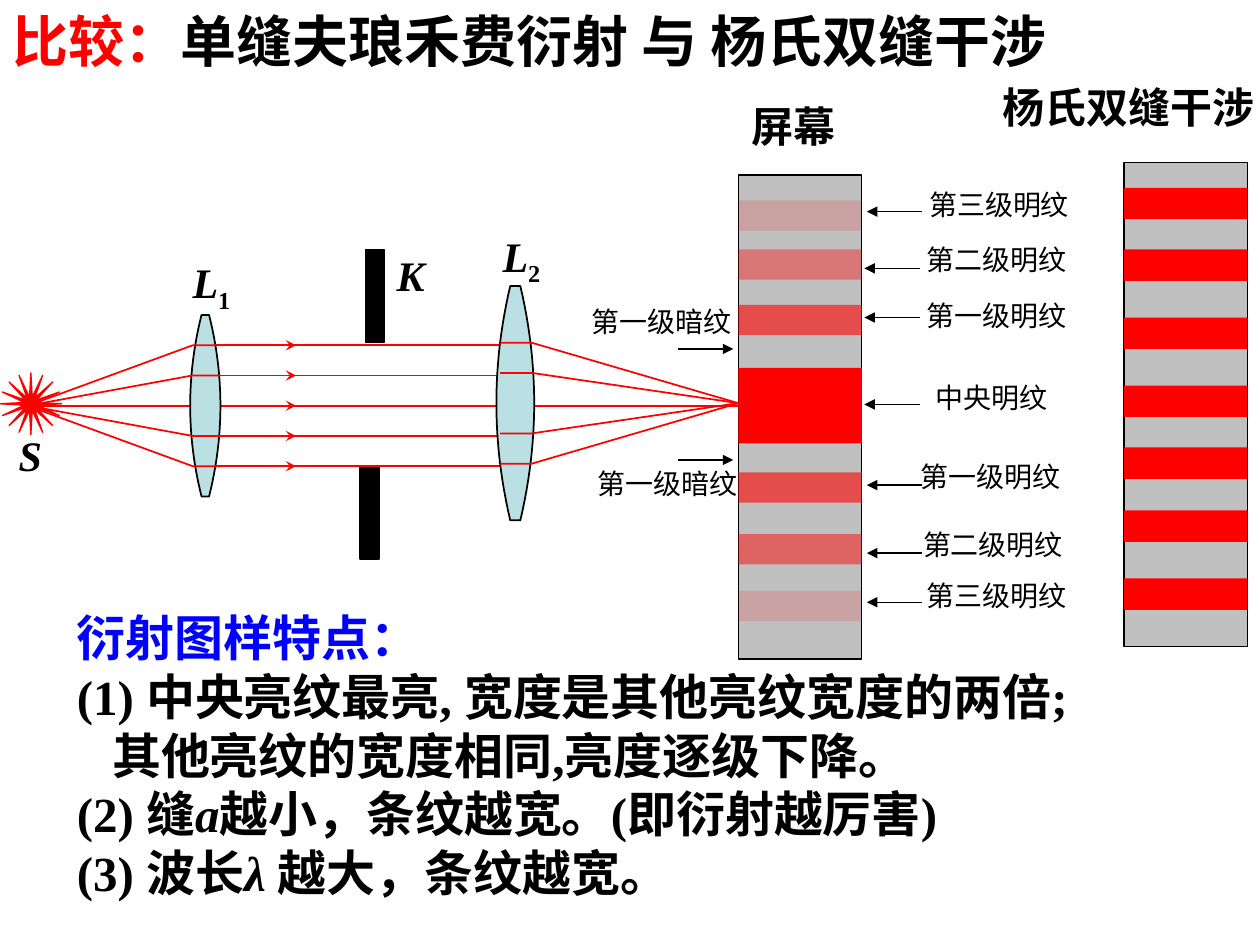
from lxml import etree
from pptx import Presentation
from pptx.dml.color import RGBColor
from pptx.enum.shapes import MSO_CONNECTOR, MSO_SHAPE
from pptx.enum.text import MSO_ANCHOR, MSO_AUTO_SIZE, PP_ALIGN
from pptx.oxml.ns import qn
from pptx.util import Inches, Pt

RECT = MSO_SHAPE.RECTANGLE
STAR = MSO_SHAPE.STAR_16_POINT
STRAIGHT = MSO_CONNECTOR.STRAIGHT
LEFT, CENTER = PP_ALIGN.LEFT, PP_ALIGN.CENTER
TOP = MSO_ANCHOR.TOP
NO_FIT = MSO_AUTO_SIZE.NONE

COLORS = {"black": "000000", "red": "FF0000", "blue": "0000FF",
          "gray": "C0C0C0", "glass": "BBE0E3"}
SERIF, SANS = "Times New Roman", "Noto Sans CJK SC"
AXIS = 3.22
RAY_GAP = 0.24
SCREEN_X, SCREEN_W, SCREEN_H = 5.86, 0.98, 3.84


def rgb(name):
    return RGBColor.from_string(COLORS[name])


def add_runs(p, runs, size, bold=True, font=SERIF):
    for text, color, style in runs:
        r = p.add_run()
        r.text = text
        r.font.size = Pt(size)
        r.font.bold = bold
        r.font.italic = style == "italic"
        r.font.name = font
        r.font.color.rgb = rgb(color)
        rPr = r._r.get_or_add_rPr()
        etree.SubElement(rPr, qn("a:ea")).set("typeface", SANS)
        if style == "sub":
            rPr.set("baseline", "-25000")


def place(sp, x, y, w, h):
    sp.left, sp.top, sp.width, sp.height = map(Inches, (x, y, w, h))


def prepare_frame(sp):
    tf = sp.text_frame
    tf.auto_size = NO_FIT
    tf.word_wrap = True
    tf.vertical_anchor = TOP
    return tf


def add_title(s):
    sp = s.shapes.title
    place(sp, 0, 0, 10, 0.63)
    p = prepare_frame(sp).paragraphs[0]
    p.alignment = LEFT
    add_runs(p, [("比较：", "red", ""),
                 ("单缝夫琅禾费衍射 与 杨氏双缝干涉", "black", "")], 32)


def add_features(s):
    lines = [
        (0, [("衍射图样特点：", "blue", "")]),
        (0, [("(1) 中央亮纹最亮, 宽度是其他亮纹宽度的两倍;", "black", "")]),
        (0.28, [("其他亮纹的宽度相同,亮度逐级下降。", "black", "")]),
        (0, [("(2) 缝", "black", ""), ("a", "black", "italic"),
             ("越小，条纹越宽。(即衍射越厉害)", "black", "")]),
        (0, [("(3) 波长", "black", ""), ("λ ", "black", "italic"),
             ("越大，条纹越宽。", "black", "")]),
    ]
    sp = s.placeholders[1]
    place(sp, 0.51, 4.77, 8.37, 2.44)
    tf = prepare_frame(sp)
    for i, (indent, runs) in enumerate(lines):
        p = tf.add_paragraph() if i else tf.paragraphs[0]
        p.space_before = Pt(0)
        pPr = p._p.get_or_add_pPr()
        pPr.set("marL", str(Inches(indent)))
        pPr.set("indent", "0")
        etree.SubElement(pPr, qn("a:buNone"))
        add_runs(p, runs, 28)


def add_label(s, x, y, w, h, runs, size=24, bold=True, font=SERIF,
              align=LEFT, wrap=False, inset=0.1):
    sp = s.shapes.add_textbox(*map(Inches, (x, y, w, h)))
    tf = sp.text_frame
    tf.word_wrap = wrap
    tf.margin_left = tf.margin_right = Inches(inset)
    p = tf.paragraphs[0]
    p.alignment = align
    add_runs(p, runs, size, bold, font)


def add_block(s, shape, x, y, w, h, fill, line=None, width=0.75, alpha=100):
    sp = s.shapes.add_shape(shape, *map(Inches, (x, y, w, h)))
    sp.shadow.inherit = False
    sp.fill.solid()
    sp.fill.fore_color.rgb = rgb(fill)
    if alpha < 100:
        clr = sp._element.spPr.find(".//" + qn("a:srgbClr"))
        etree.SubElement(clr, qn("a:alpha")).set("val", str(alpha * 1000))
    if line:
        sp.line.color.rgb = rgb(line)
        sp.line.width = Pt(width)
    else:
        sp.line.fill.background()
    return sp


def add_line(s, x1, y1, x2, y2, color, width, head=None):
    c = s.shapes.add_connector(STRAIGHT, *map(Inches, (x1, y1, x2, y2)))
    c.line.color.rgb = rgb(color)
    c.line.width = Pt(width)
    if head:
        ln = c.line._get_or_add_ln()
        etree.SubElement(ln, qn("a:tailEnd")).set("type", head)
    etree.SubElement(c._element.spPr, qn("a:effectLst"))
    return c


def add_outline(s, points, color, fill=None):
    pts = [(Inches(x), Inches(y)) for x, y in points]
    fb = s.shapes.build_freeform(*pts[0], scale=1.0)
    fb.add_line_segments(pts[1:], close=fill is not None)
    sp = fb.convert_to_shape()
    sp.shadow.inherit = False
    if fill:
        sp.fill.solid()
        sp.fill.fore_color.rgb = rgb(fill)
    else:
        sp.fill.background()
    sp.line.color.rgb = rgb(color)
    sp.line.width = Pt(1)


def add_lens(s, cx, cy, half_w, half_h, cap):
    steps = [i / 12 for i in range(-12, 13)]
    right = [(cap + (half_w - cap) * (1 - t * t), half_h * t) for t in steps]
    left = [(-x, y) for x, y in reversed(right)]
    add_outline(s, [(cx + x, cy + y) for x, y in right + left], "black", "glass")


def add_screen(s):
    add_block(s, RECT, SCREEN_X, 1.39, SCREEN_W, SCREEN_H, "gray", "black")
    for y, alpha in [(1.59, 16), (1.98, 39), (2.42, 60),
                     (3.75, 60), (4.24, 48), (4.69, 15)]:
        add_block(s, RECT, SCREEN_X, y, SCREEN_W, 0.24, "red", alpha=alpha)
    return add_block(s, RECT, SCREEN_X, AXIS - 0.3, SCREEN_W, 0.6, "red")


def add_young_screen(s):
    add_block(s, RECT, 8.92, 1.29, SCREEN_W, SCREEN_H, "gray", "black")
    for y in (1.49, 1.98, 2.52, 3.06, 3.55, 4.05, 4.59):
        add_block(s, RECT, 8.92, y, SCREEN_W, 0.25, "red")


def add_optics(s, center_band):
    add_block(s, RECT, 2.9, 1.98, 0.15, 0.74, "black", "black", 1)
    add_block(s, RECT, 2.86, 3.7, 0.15, 0.74, "black", "black", 1)
    rays = [(k, AXIS + k * RAY_GAP) for k in range(-2, 3)]
    for k, y in rays:
        ray = add_line(s, 1.69, y, 4 if k else SCREEN_X, y, "red", 1)
        if k == 0:
            ray.end_connect(center_band, 1)
        add_line(s, 1.69 if k else 0.25, y, 2.35, y, "red", 1, "stealth")
    add_lens(s, 4.09, 3.2, 0.15, 0.93, 0.04)
    add_lens(s, 1.63, AXIS, 0.12, 0.72, 0.03)
    for k, y in rays:
        if k:
            add_outline(s, [(1.75, y), (1.53, y), (0.22, AXIS)], "red")
            add_outline(s, [(3.97, y - 0.02), (4.22, y - 0.02),
                            (SCREEN_X, 3.2)], "red")
    star = add_block(s, STAR, 0, 2.96, 0.49, 0.49, "red", "red")
    star.adjustments[0] = 0.11
    for x, y, letter, sub in [(0.05, 3.36, "S", ""), (1.43, 1.99, "L", "1"),
                              (3.89, 1.78, "L", "2"), (3.05, 1.93, "K", "")]:
        runs = [(letter, "black", "italic")]
        if sub:
            runs.append((sub, "black", "sub"))
        add_label(s, x, y, 0.52, 0.5, runs)


def add_fringe_labels(s):
    bright = [(7.2, 1.44, "第三级明纹", 6.88, 1.68),
              (7.18, 1.88, "第二级明纹", 6.86, 2.13),
              (7.18, 2.32, "第一级明纹", 6.86, 2.52),
              (7.14, 2.97, "中央明纹", 6.86, 3.21),
              (7.13, 3.6, "第一级明纹", 6.88, 3.85),
              (7.15, 4.14, "第二级明纹", 6.88, 4.39),
              (7.18, 4.54, "第三级明纹", 6.88, 4.78)]
    dark = [(4.52, 2.37, "第一级暗纹", 5.82, 2.77),
            (4.57, 3.65, "第一级暗纹", 5.82, 3.65)]
    for labels, tail in [(bright, 0.44), (dark, -0.44)]:
        for x, y, text, tip_x, tip_y in labels:
            add_label(s, x, y, 1.46, 0.43, [(text, "black", "")], 16,
                      bold=False, align=CENTER, wrap=True)
            add_line(s, tip_x + tail, tip_y, tip_x, tip_y,
                     "black", 0.75, "triangle")


def main():
    prs = Presentation()
    prs.slide_width, prs.slide_height = Inches(10), Inches(7.5)
    s = prs.slides.add_slide(prs.slide_layouts[1])
    add_features(s)
    add_title(s)
    center_band = add_screen(s)
    add_optics(s, center_band)
    add_label(s, 5.87, 0.75, 0.87, 0.5, [("屏幕", "black", "")], font=SANS)
    add_fringe_labels(s)
    add_young_screen(s)
    add_label(s, 7.92, 0.6, 2.08, 0.5, [("杨氏双缝干涉", "black", "")],
              align=CENTER, inset=0)
    prs.save("out.pptx")


if __name__ == "__main__":
    main()
